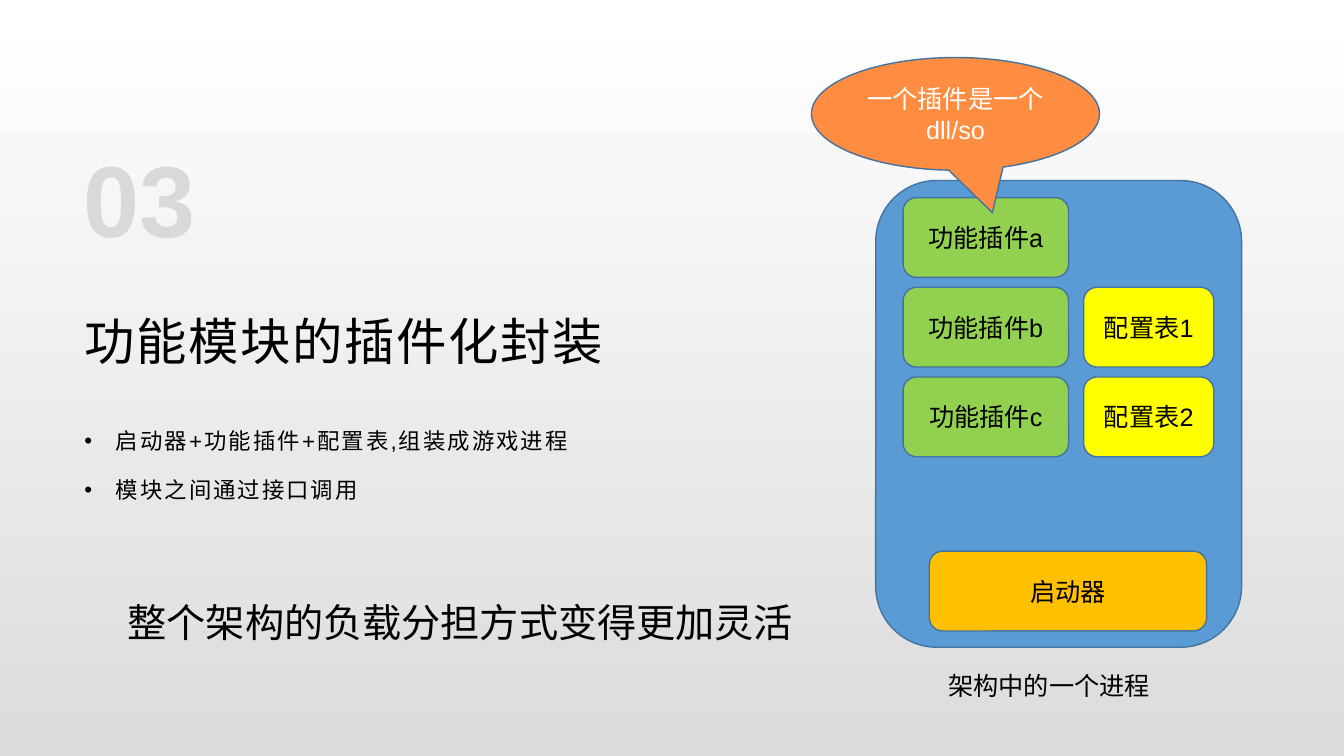
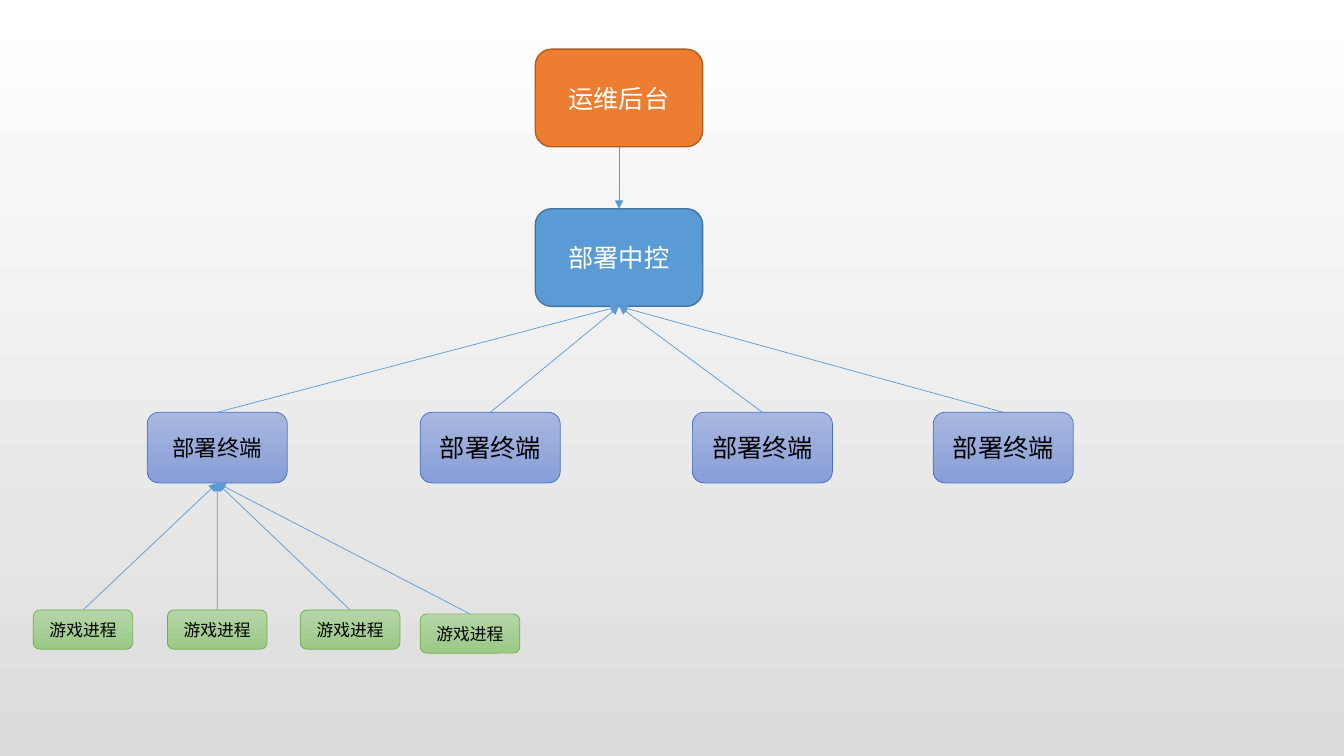
from dataclasses import dataclass

from lxml.etree import SubElement
from pptx import Presentation
from pptx.dml.color import RGBColor
from pptx.dml.fill import FillFormat
from pptx.enum.shapes import MSO_CONNECTOR, MSO_SHAPE
from pptx.enum.text import MSO_ANCHOR, MSO_AUTO_SIZE, PP_ALIGN
from pptx.oxml.ns import qn
from pptx.shapes.autoshape import Shape
from pptx.slide import Slide
from pptx.util import Cm, Pt

FONT = "Arial"
BLACK = RGBColor(0x00, 0x00, 0x00)
WHITE = RGBColor(0xFF, 0xFF, 0xFF)
BACKDROP_GRAY = RGBColor(0xDC, 0xDC, 0xDC)
NUMBER_GRAY = RGBColor(0xD9, 0xD9, 0xD9)
BLUE = RGBColor(0x5B, 0x9B, 0xD5)
BLUE_EDGE = RGBColor(0x43, 0x73, 0x9E)
AMBER = RGBColor(0xFF, 0xC0, 0x00)
LIME = RGBColor(0x92, 0xD0, 0x50)
YELLOW = RGBColor(0xFF, 0xFF, 0x00)
CORAL = RGBColor(0xFF, 0x8D, 0x41)
ORANGE = RGBColor(0xED, 0x7D, 0x31)
ORANGE_EDGE = RGBColor(0xAF, 0x5C, 0x24)
INDIGO_LIGHT = RGBColor(0xA8, 0xB7, 0xDF)
INDIGO_DARK = RGBColor(0x88, 0x9E, 0xD7)
INDIGO_EDGE = RGBColor(0x44, 0x72, 0xC4)
GREEN_LIGHT = RGBColor(0xB5, 0xD5, 0xA7)
GREEN_DARK = RGBColor(0x9C, 0xC9, 0x87)
GREEN_EDGE = RGBColor(0x70, 0xAD, 0x47)


@dataclass(frozen=True)
class Area:
    """A rectangle in centimetres."""
    left: float
    top: float
    width: float
    height: float

    def lengths(self) -> tuple[Cm, Cm, Cm, Cm]:
        return Cm(self.left), Cm(self.top), Cm(self.width), Cm(self.height)


@dataclass(frozen=True)
class TextStyle:
    size: float
    color: RGBColor = BLACK
    bold: bool = False
    tracking: float = 0
    line_spacing: float = 1.0
    space_after: float = 0
    bullet_indent: float = 0


@dataclass(frozen=True)
class BoxStyle:
    """Two fill colours make a gradient from top to bottom."""
    fill: tuple[RGBColor, ...]
    edge: RGBColor = BLUE_EDGE
    edge_width: float = 1
    text: TextStyle = TextStyle(18)


NUMBER = TextStyle(72, NUMBER_GRAY, bold=True)
TITLE = TextStyle(36, tracking=1.2, line_spacing=1.3)
BULLETS = TextStyle(16, tracking=1.5, line_spacing=1.3, space_after=10, bullet_indent=0.79)
CAPTION = TextStyle(18)
SUMMARY = TextStyle(28)
WHITE_LABEL = TextStyle(18, WHITE)

PROCESS_PANEL = BoxStyle((BLUE,))
LAUNCHER = BoxStyle((AMBER,))
PLUGIN = BoxStyle((LIME,))
CONFIG = BoxStyle((YELLOW,))
CALLOUT = BoxStyle((CORAL,), text=WHITE_LABEL)
BACKEND = BoxStyle((ORANGE,), ORANGE_EDGE, text=WHITE_LABEL)
CONTROL = BoxStyle((BLUE,), text=WHITE_LABEL)
INDIGO = (INDIGO_LIGHT, INDIGO_DARK)
FIRST_TERMINAL = BoxStyle(INDIGO, INDIGO_EDGE, 0.5, TextStyle(16))
TERMINAL = BoxStyle(INDIGO, INDIGO_EDGE, 0.5)
GAME = BoxStyle((GREEN_LIGHT, GREEN_DARK), GREEN_EDGE, 0.5, TextStyle(12))


def apply_fill(fill: FillFormat, colors: tuple[RGBColor, ...]) -> None:
    if len(colors) == 1:
        fill.solid()
        fill.fore_color.rgb = colors[0]
        return
    fill.gradient()
    fill.gradient_angle = 270
    for stop, color in zip(fill.gradient_stops, colors):
        stop.color.rgb = color


def format_text(shape: Shape, style: TextStyle) -> None:
    for paragraph in shape.text_frame.paragraphs:
        paragraph.line_spacing = style.line_spacing
        paragraph.space_after = Pt(style.space_after)
        if style.bullet_indent:
            properties = paragraph._p.get_or_add_pPr()
            indent = Cm(style.bullet_indent)
            properties.set("marL", str(indent))
            properties.set("indent", str(-indent))
            SubElement(properties, qn("a:buFont")).set("typeface", FONT)
            SubElement(properties, qn("a:buChar")).set("char", "•")
        for run in paragraph.runs:
            run.font.name = FONT
            run.font.size = Pt(style.size)
            run.font.bold = style.bold
            run.font.color.rgb = style.color
            properties = run._r.get_or_add_rPr()
            properties.set("lang", "zh-CN")
            if style.tracking:
                properties.set("spc", str(round(style.tracking * 100)))
            SubElement(properties, qn("a:ea")).set("typeface", FONT)


def add_text(slide: Slide, area: Area, text: str, style: TextStyle, wrap: bool = True) -> Shape:
    box = slide.shapes.add_textbox(*area.lengths())
    frame = box.text_frame
    frame.text = text
    frame.word_wrap = wrap
    frame.auto_size = MSO_AUTO_SIZE.NONE if wrap else MSO_AUTO_SIZE.SHAPE_TO_FIT_TEXT
    format_text(box, style)
    return box


def add_box(slide: Slide, area: Area, text: str, style: BoxStyle,
            outline: MSO_SHAPE = MSO_SHAPE.ROUNDED_RECTANGLE) -> Shape:
    box = slide.shapes.add_shape(outline, *area.lengths())
    box.shadow.inherit = False
    apply_fill(box.fill, style.fill)
    box.line.color.rgb = style.edge
    box.line.width = Pt(style.edge_width)
    if text:
        frame = box.text_frame
        frame.text = text
        frame.word_wrap = True
        frame.vertical_anchor = MSO_ANCHOR.MIDDLE
        frame.paragraphs[0].alignment = PP_ALIGN.CENTER
        format_text(box, style.text)
    return box


def add_arrow(slide: Slide, source: Shape, source_side: int,
              target: Shape, target_side: int) -> None:
    arrow = slide.shapes.add_connector(MSO_CONNECTOR.STRAIGHT, 0, 0, 0, 0)
    arrow.begin_connect(source, source_side)
    arrow.end_connect(target, target_side)
    arrow.line.color.rgb = BLUE
    arrow.line.width = Pt(0.5)
    SubElement(arrow.line._get_or_add_ln(), qn("a:tailEnd")).set("type", "triangle")
    SubElement(arrow._element.spPr, qn("a:effectLst"))


def build_plugin_slide(slide: Slide) -> None:
    add_text(slide, Area(1.85, 3.33, 5, 3), "03", NUMBER)
    title = add_text(slide, Area(1.85, 7.26, 30.15, 1.73), "功能模块的插件化封装", TITLE)
    points = add_text(slide, Area(1.85, 10.46, 30.15, 3),
                      "启动器+功能插件+配置表,组装成游戏进程\n模块之间通过接口调用", BULLETS)
    for block in (title, points):
        block.text_frame.margin_left = Cm(0.28)
        block.text_frame.margin_top = block.text_frame.margin_bottom = Cm(0.1)

    add_box(slide, Area(22.07, 4.55, 9.22, 11.76), "", PROCESS_PANEL)
    add_box(slide, Area(23.42, 13.89, 6.99, 2.01), "启动器", LAUNCHER)
    add_text(slide, Area(23.65, 16.76, 5.64, 1.02), "架构中的一个进程", CAPTION, wrap=False)

    first_row, row_step = 4.98, 2.26
    for row, letter in enumerate("abc"):
        top = first_row + row * row_step
        add_box(slide, Area(22.76, top, 4.17, 2.01), f"功能插件{letter}", PLUGIN)
        if row:
            add_box(slide, Area(27.31, top, 3.28, 2.01), f"配置表{row}", CONFIG)

    add_text(slide, Area(2.97, 14.94, 17.48, 1.45),
             "整个架构的负载分担方式变得更加灵活", SUMMARY, wrap=False)
    callout = add_box(slide, Area(20.45, 1.45, 7.26, 2.84), "一个插件是一个dll/so",
                      CALLOUT, MSO_SHAPE.OVAL_CALLOUT)
    callout.adjustments[0] = 0.128
    callout.adjustments[1] = 0.877


def build_deployment_slide(slide: Slide) -> None:
    backend = add_box(slide, Area(13.49, 1.24, 4.22, 2.46), "运维后台", BACKEND)
    control = add_box(slide, Area(13.49, 5.26, 4.22, 2.46), "部署中控", CONTROL)
    terminals = [
        add_box(slide, Area(left, 10.39, 3.53, 1.78), "部署终端", style)
        for left, style in ((3.71, FIRST_TERMINAL), (10.59, TERMINAL),
                            (17.45, TERMINAL), (23.52, TERMINAL))
    ]
    games = [
        add_box(slide, Area(left, top, 2.51, 0.99), "游戏进程", GAME)
        for left, top in ((0.84, 15.37), (4.22, 15.37), (7.57, 15.37), (10.59, 15.47))
    ]
    add_arrow(slide, backend, 2, control, 0)
    for parent, children in ((control, terminals), (terminals[0], games)):
        for child in children:
            add_arrow(slide, child, 0, parent, 2)


def main() -> None:
    presentation = Presentation()
    presentation.slide_width = Cm(33.87)
    presentation.slide_height = Cm(19.05)
    apply_fill(presentation.slide_master.background.fill, (WHITE, BACKDROP_GRAY))
    blank = presentation.slide_layouts[6]
    for build in (build_plugin_slide, build_deployment_slide):
        build(presentation.slides.add_slide(blank))
    presentation.save("out.pptx")


if __name__ == "__main__":
    main()
